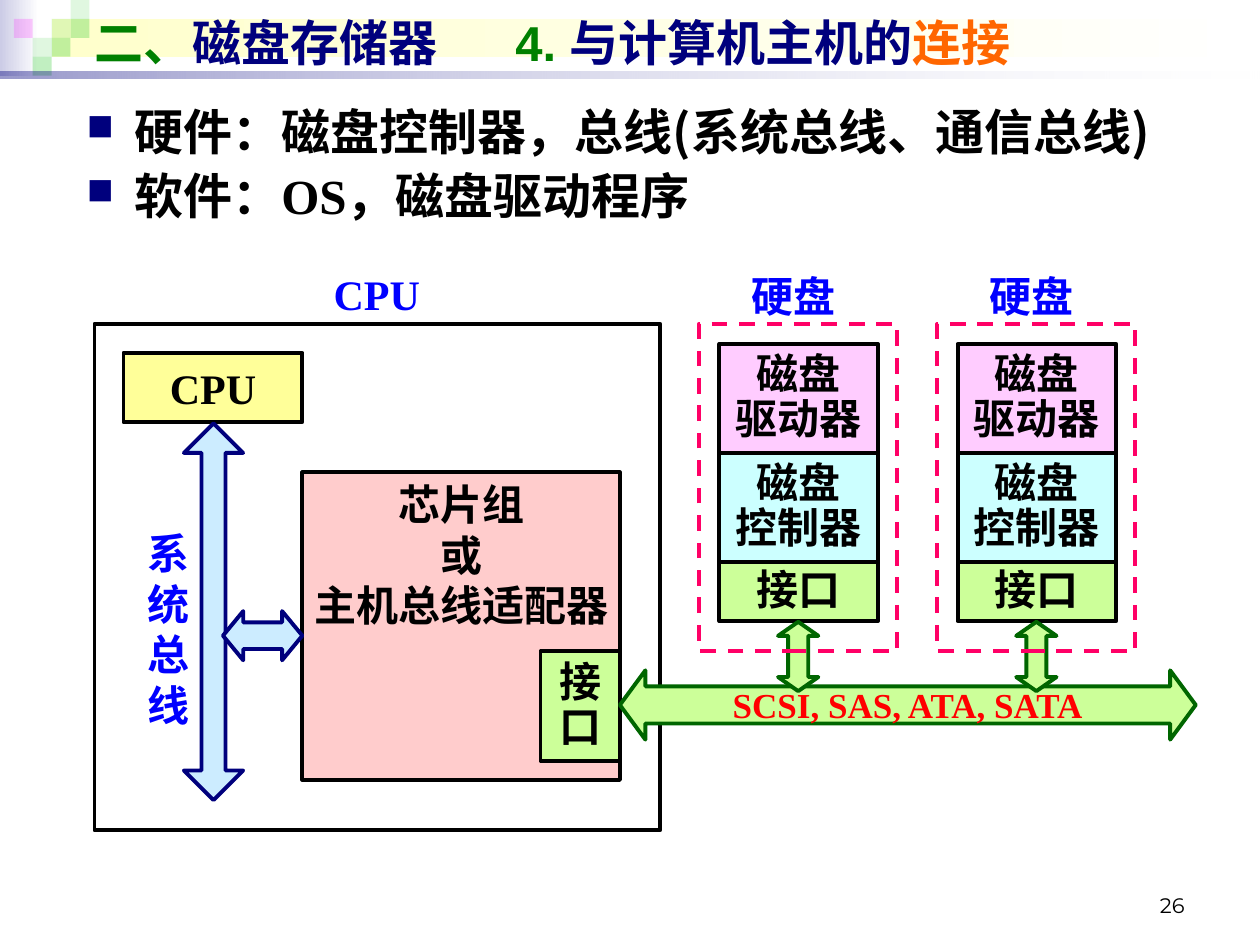
"""Build a slide on how a disk store connects to its host computer."""
from lxml.etree import SubElement
from pptx import Presentation
from pptx.dml.color import RGBColor
from pptx.enum.dml import MSO_LINE
from pptx.enum.shapes import MSO_SHAPE as Preset
from pptx.enum.text import MSO_ANCHOR as Anchor, MSO_AUTO_SIZE as AutoSize, PP_ALIGN as Align
from pptx.oxml.ns import qn
from pptx.util import Inches, Pt

THEME = {
    "black": "000000", "white": "FFFFFF", "navy": "00007D", "blue": "0000FF",
    "red": "FF0000", "orange": "FF6600", "green": "008000", "dark green": "006600",
    "lime": "CCFF99", "yellow": "FFFF99", "rose": "FFCCCC", "pink": "FFCCFF",
    "cyan": "CCFFFF", "sky": "CCECFF", "magenta": "FF0066",
    "cream": "FFFFCC", "lavender": "CCCCE6", "square": "33CC33", "accent": "FF00FF",
    "heading": 28, "label": 24, "bus": 20, "number": 12, "outline": 2.25,
    "serif": "Times New Roman", "sans": "Arial", "cjk": "Noto Sans CJK SC",
    "digits": "Montserrat",
}

TITLE = [("二、", "green"), ("磁盘存储器\t", "navy"), ("4. ", "green"),
         ("与计算机主机的", "navy"), ("连接", "orange")]
TITLE_TAB = 3.34
BULLETS = [
    [("硬件：磁盘控制器，总线", "serif"), ("(", "cjk"),
     ("系统总线、通信总线", "serif"), (")", "cjk")],
    [("软件：OS，磁盘驱动程序", "serif")],
]
GRADIENT_BANDS = [
    ((0, 0, 0.31, 0.6), ("lavender", "white"), (100, 100)),
    ((0.41, 0.15, 9.55, 0.3), ("cream", "white"), (100, 100)),
]
TITLE_RULE = ((0, 0.57, 10, 0.05), ("navy", "white"), (40, 10))
SQUARE = 0.15
SQUARES = [(2, 1, "square", 15), (3, 0, "square", 15), (3, 1, "square", 30),
           (1, 2, "square", 15), (0, 1, "accent", 20), (2, 2, "square", 30),
           (1, 3, "square", 30)]
HOST_BOXES = [
    ((2.4, 3.75, 2.52, 2.44), "rose", ["芯片组", "或", "主机总线适配器"],
     {"anchor": Anchor.TOP, "wrap": False}),
    ((0.75, 2.57, 4.49, 4.02), None, [], {}),
    ((0.98, 2.8, 1.42, 0.55), "yellow", ["CPU"], {"wrap": False}),
    ((4.29, 5.17, 0.63, 0.87), "lime", ["接口"], {"spacing": 0.9}),
]
HOST_ARROWS = [
    (Preset.UP_DOWN_ARROW, (1.46, 3.36, 0.47, 2.99), (0.5, 0.404), "sky", "navy"),
    (Preset.LEFT_RIGHT_ARROW, (1.77, 4.85, 0.63, 0.39), (0.542, 0.412), "sky", "navy"),
]
BUS = (Preset.LEFT_RIGHT_ARROW, (4.92, 5.32, 4.57, 0.55), (0.535, 0.368), "lime", "dark green")
BUS_TEXT = "SCSI, SAS, ATA, SATA"
HOST_LABELS = [("系统总线", (1.06, 4.14, 0.55, 1.7)), ("CPU", (2.48, 2.08, 1.02, 0.5))]
DISK_LEFTS = [5.55, 7.44]
DISK_TOP = 2.73
DISK_PARTS = [(["磁盘", "驱动器"], 0.865, "pink", False),
              (["磁盘", "控制器"], 0.865, "cyan", False),
              (["接口"], 0.47, "lime", True)]


def rgb(name):
    return RGBColor.from_string(THEME[name])


def write(shape, paragraphs, size="label", color="black", font="serif", bold=True,
          align=Align.CENTER, anchor=Anchor.MIDDLE, wrap=True, spacing=None):
    """Fill a shape with paragraphs, each a string or a list of run/style pairs."""
    frame = shape.text_frame
    settings = {"word_wrap": wrap, "auto_size": AutoSize.NONE, "vertical_anchor": anchor}
    for name, value in settings.items():
        setattr(frame, name, value)
    for index, runs in enumerate(paragraphs):
        paragraph = frame.add_paragraph() if index else frame.paragraphs[0]
        paragraph.alignment = align
        if spacing:
            paragraph.line_spacing = spacing
        for text, style in [(runs, {})] if isinstance(runs, str) else runs:
            run = paragraph.add_run()
            run.text = text
            look = {"name": THEME[style.get("font", font)], "size": Pt(THEME[size]), "bold": bold}
            for name, value in look.items():
                setattr(run.font, name, value)
            run.font.color.rgb = rgb(style.get("color", color))
            SubElement(run.font._element, qn("a:ea"), typeface=THEME["cjk"])
    return frame.paragraphs


def add_shape(slide, preset, box, fill=None, line=None):
    shape = slide.shapes.add_shape(preset, *map(Inches, box))
    shape.shadow.inherit = False
    if fill:
        shape.fill.solid()
        shape.fill.fore_color.rgb = rgb(fill)
    else:
        shape.fill.background()
    if line:
        shape.line.color.rgb = rgb(line)
        shape.line.width = Pt(THEME["outline"])
    else:
        shape.line.fill.background()
    return shape


def add_box(slide, box, fill, paragraphs, **text_format):
    shape = add_shape(slide, Preset.RECTANGLE, box, fill, "black")
    if paragraphs:
        write(shape, paragraphs, **text_format)


def add_arrow(slide, preset, box, adjustments, fill, line):
    arrow = add_shape(slide, preset, box, fill, line)
    for index, value in enumerate(adjustments):
        arrow.adjustments[index] = value
    return arrow


def add_label(slide, text, box, **text_format):
    label = slide.shapes.add_textbox(*map(Inches, box))
    return write(label, [text] if isinstance(text, str) else text, **text_format)


def set_opacity(shape, percents):
    colors = shape._element.spPr.iter(qn("a:srgbClr"))
    for color, percent in zip(list(colors), percents):
        if percent < 100:
            SubElement(color, qn("a:alpha"), val=str(percent * 1000))


def add_band(slide, box, colors, opacities):
    band = add_shape(slide, Preset.RECTANGLE, box)
    band.fill.gradient()
    band.fill.gradient_angle = 0
    for position, (stop, color) in enumerate(zip(band.fill.gradient_stops, colors)):
        stop.color.rgb = rgb(color)
        stop.position = position
    set_opacity(band, opacities)


def add_decoration(slide):
    for band in GRADIENT_BANDS:
        add_band(slide, *band)
    for column, row, color, opacity in SQUARES:
        box = (0.11 + column * SQUARE, row * SQUARE, SQUARE, SQUARE)
        set_opacity(add_shape(slide, Preset.RECTANGLE, box, color), [opacity])
    add_band(slide, *TITLE_RULE)


def add_title(slide):
    title = slide.shapes.title
    for name, value in zip(("left", "top", "width", "height"), (0.65, 0.05, 9, 0.57)):
        setattr(title, name, Inches(value))
    runs = [(text, {"color": color}) for text, color in TITLE]
    paragraph = write(title, [runs], size="heading", font="sans", align=Align.LEFT)[0]
    tabs = SubElement(paragraph._p.get_or_add_pPr(), qn("a:tabLst"))
    SubElement(tabs, qn("a:tab"), pos=str(Inches(TITLE_TAB)), algn="l")


def add_bullets(slide):
    runs = [[(text, {"font": font}) for text, font in bullet] for bullet in BULLETS]
    paragraphs = add_label(slide, runs, (0.59, 0.76, 9.06, 1.26), size="heading",
                           align=Align.LEFT, anchor=Anchor.TOP)
    for index, paragraph in enumerate(paragraphs):
        if index:
            paragraph.space_before = Pt(3)
        properties = paragraph._p.get_or_add_pPr()
        properties.set("marL", str(Inches(0.38)))
        properties.set("indent", str(-Inches(0.38)))
        color = SubElement(properties, qn("a:buClr"))
        SubElement(color, qn("a:srgbClr"), val=THEME["navy"])
        SubElement(properties, qn("a:buSzPct"), val="75000")
        SubElement(properties, qn("a:buChar"), char="■")


def add_disk(slide, left):
    top = DISK_TOP
    for paragraphs, height, fill, wrap in DISK_PARTS:
        add_box(slide, (left + 0.16, top, 1.26, height), fill, paragraphs, wrap=wrap, spacing=0.9)
        top += height
    link = add_arrow(slide, Preset.LEFT_RIGHT_ARROW, (left + 0.51, 5.05, 0.55, 0.32),
                     (0.5, 0.349), "lime", "dark green")
    link.rotation = 90
    frame = add_shape(slide, Preset.RECTANGLE, (left, 2.57, 1.57, 2.6), line="magenta")
    frame.line.dash_style = MSO_LINE.DASH
    add_label(slide, "硬盘", (left + 0.24, 2.1, 1.02, 0.5), color="blue", anchor=Anchor.TOP)


def main():
    presentation = Presentation()
    presentation.slide_width, presentation.slide_height = Inches(10), Inches(7.5)
    slide = presentation.slides.add_slide(presentation.slide_layouts[5])
    add_decoration(slide)
    slide.shapes._spTree.append(slide.shapes.title._element)
    add_title(slide)
    add_bullets(slide)
    for box, fill, paragraphs, text_format in HOST_BOXES:
        add_box(slide, box, fill, paragraphs, **text_format)
    for arrow in HOST_ARROWS:
        add_arrow(slide, *arrow)
    write(add_arrow(slide, *BUS), [BUS_TEXT], size="bus", color="red", wrap=False)
    for text, box in HOST_LABELS:
        add_label(slide, text, box, color="blue", anchor=Anchor.TOP)
    for left in DISK_LEFTS:
        add_disk(slide, left)
    add_label(slide, "26", (7.17, 6.83, 2.33, 0.5), size="number", font="digits",
              bold=False, align=Align.RIGHT, anchor=Anchor.BOTTOM)
    presentation.save("out.pptx")


if __name__ == "__main__":
    main()
